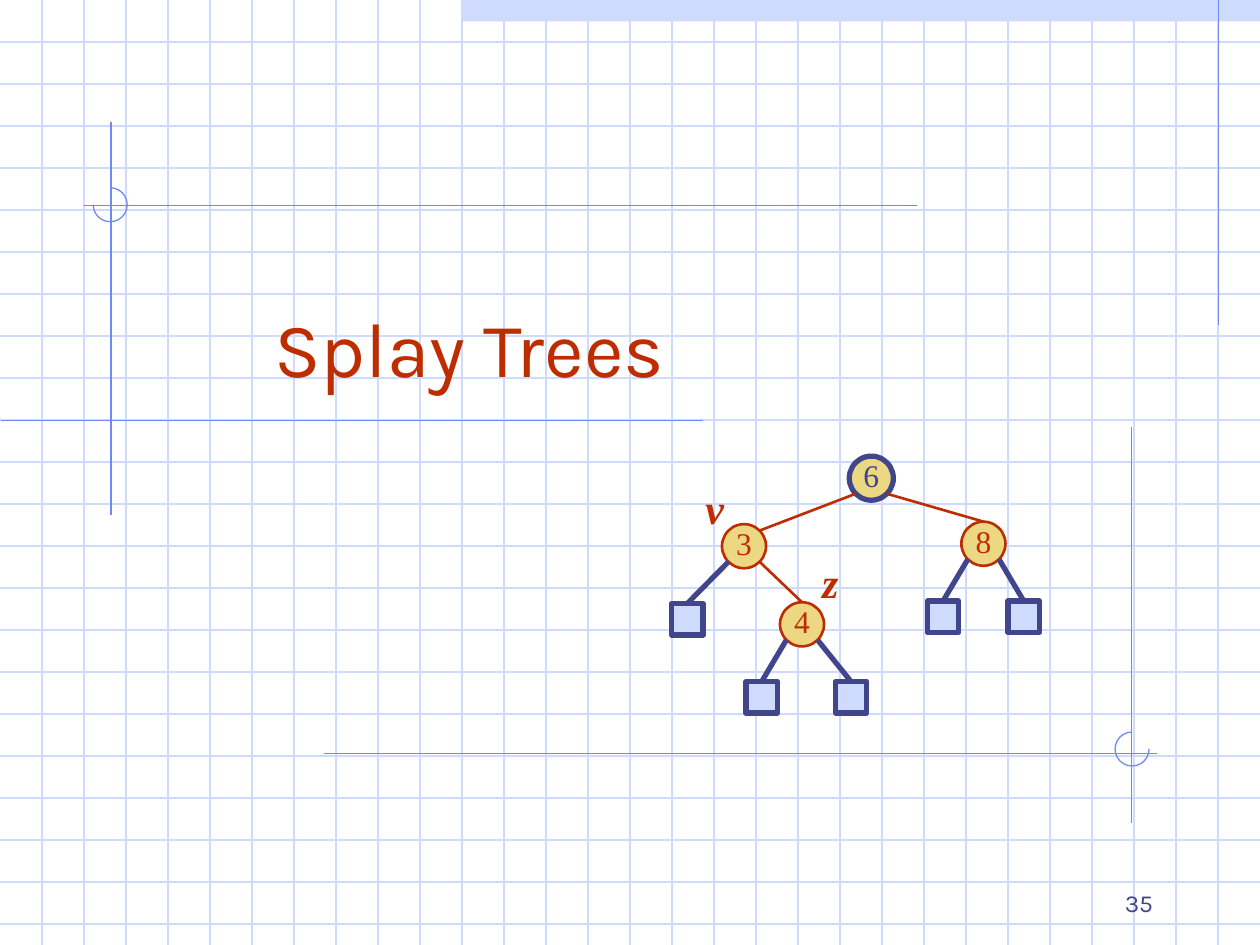
import math
from lxml import etree
from pptx import Presentation
from pptx import util as u
from pptx.dml.color import RGBColor
from pptx.enum import shapes, text
from pptx.oxml.ns import qn

PALE = RGBColor(0xCF, 0xDB, 0xFD)
BLUE = RGBColor(0x6F, 0x89, 0xF7)
NAVY = RGBColor(0x40, 0x45, 0x8C)
RED = RGBColor(0xBE, 0x2D, 0x00)
GOLD = RGBColor(0xEC, 0xD8, 0x82)
SANS = "Karla"
SERIF = "Times New Roman"
WIDTH, HEIGHT = 10, 7.5
NODE = 0.35
LEAF = 0.25
ARC_UNIT = 0.6

GUIDES = [
    (9.67, 0, 9.67, 2.58),
    (0.88, 0.97, 0.88, 4.09),
    (5.58, 3.34, 0.01, 3.34),
    (7.28, 1.63, 0.67, 1.63),
    (2.57, 5.98, 9.18, 5.98),
    (8.98, 3.39, 8.98, 6.53),
]
NODES = {
    "6": (6.74, 3.62, NAVY, 3),
    "3": (5.73, 4.16, RED, 1.5),
    "8": (7.63, 4.14, RED, 1.5),
    "4": (6.19, 4.78, RED, 1.5),
}
LEAVES = [
    ("3", -1, 5.33, 4.79),
    ("8", -1, 7.36, 4.77),
    ("8", 1, 8, 4.77),
    ("4", -1, 5.92, 5.41),
    ("4", 1, 6.63, 5.41),
]


def add_line(page, start, end, color, width=0.75):
    line = page.shapes.add_connector(
        shapes.MSO_CONNECTOR.STRAIGHT,
        *[u.Inches(value) for value in (*start, *end)])
    line.line.color.rgb = color
    line.line.width = u.Pt(width)
    etree.SubElement(line._element.spPr, qn("a:effectLst"))
    return line


def add_preset(page, kind, left, top, width, height, fill=None, color=None, weight=0.75):
    shape = page.shapes.add_shape(
        kind, *[u.Inches(value) for value in (left, top, width, height)])
    shape.shadow.inherit = False
    if fill is None:
        shape.fill.background()
    else:
        shape.fill.solid()
        shape.fill.fore_color.rgb = fill
    if color is None:
        shape.line.fill.background()
    else:
        shape.line.color.rgb = color
        shape.line.width = u.Pt(weight)
    return shape


def write(frame, words, size, font, color, align, italic_bold=False):
    para = frame.paragraphs[0]
    para.alignment = align
    span = para.add_run()
    span.text = words
    span.font.size = u.Pt(size)
    span.font.name = font
    span.font.color.rgb = color
    if italic_bold:
        span.font.bold = True
        span.font.italic = True


def add_label(page, place, words, size, font, color, align,
              anchor=text.MSO_ANCHOR.TOP, italic_bold=False):
    box = page.shapes.add_textbox(*[u.Inches(value) for value in place])
    box.text_frame.word_wrap = True
    box.text_frame.vertical_anchor = anchor
    write(box.text_frame, words, size, font, color, align, italic_bold)


def add_arc(page, left, top, start, end):
    arc = add_preset(page, shapes.MSO_SHAPE.ARC, left, top, 0.27, 0.27, color=BLUE)
    arc.adjustments[0] = start * ARC_UNIT
    arc.adjustments[1] = end * ARC_UNIT


def add_background(page):
    add_preset(page, shapes.MSO_SHAPE.RECTANGLE, 3.67, 0, 6.33, 0.17, PALE)
    for step in range(1, 23):
        add_line(page, (0, step / 3), (WIDTH, step / 3), PALE)
    for step in range(1, 30):
        add_line(page, (step / 3, 0), (step / 3, HEIGHT), PALE)
    for x1, y1, x2, y2 in GUIDES:
        add_line(page, (x1, y1), (x2, y2), BLUE)
    add_arc(page, 0.74, 1.49, 270, 180)
    add_arc(page, 8.85, 5.81, 0, 270)


def add_node(page, name):
    left, top, color, weight = NODES[name]
    node = add_preset(page, shapes.MSO_SHAPE.OVAL, left, top, NODE, NODE, GOLD, color, weight)
    frame = node.text_frame
    frame.margin_left = frame.margin_right = frame.margin_top = 0
    frame.margin_bottom = u.Inches(0.05)
    frame.word_wrap = False
    frame.vertical_anchor = text.MSO_ANCHOR.MIDDLE
    write(frame, name, 18, SERIF, color, text.PP_ALIGN.CENTER)
    return node


def rim_point(name, across, down):
    left, top = NODES[name][:2]
    reach = NODE / 2 * math.sqrt(0.5)
    return left + NODE / 2 + across * reach, top + NODE / 2 + down * reach


def add_edge(page, parent, side, child, color, weight):
    start = rim_point(parent, side, 1)
    edge = add_line(page, start, start, color, weight)
    edge.end_connect(child, 0)


def add_tree(page):
    nodes = {name: add_node(page, name) for name in NODES}
    add_line(page, rim_point("6", -1, 1), rim_point("3", 1, -1), RED, 1.5)
    add_edge(page, "6", 1, nodes["8"], RED, 1.5)
    add_edge(page, "3", 1, nodes["4"], RED, 1.5)
    for parent, side, left, top in LEAVES:
        leaf = add_preset(page, shapes.MSO_SHAPE.RECTANGLE, left, top, LEAF, LEAF, PALE, NAVY, 3)
        add_edge(page, parent, side, leaf, NAVY, 3)
    for letter, left, top in (("v", 5.5, 3.78), ("z", 6.42, 4.37)):
        add_label(page, (left, top, 0.34, 0.5), letter, 24, SERIF, RED,
                  text.PP_ALIGN.CENTER, italic_bold=True)


def main():
    deck = Presentation()
    deck.slide_width = u.Inches(WIDTH)
    deck.slide_height = u.Inches(HEIGHT)
    page = deck.slides.add_slide(deck.slide_layouts[6])
    add_background(page)
    add_label(page, (2.08, 1.92, 3.83, 1.25), "Splay Trees", 44, SANS, RED,
              text.PP_ALIGN.LEFT, text.MSO_ANCHOR.BOTTOM)
    add_tree(page)
    add_label(page, (7.17, 6.83, 2.08, 0.5), "35", 14, SANS, NAVY,
              text.PP_ALIGN.RIGHT, text.MSO_ANCHOR.BOTTOM)
    deck.save("out.pptx")


if __name__ == "__main__":
    main()
